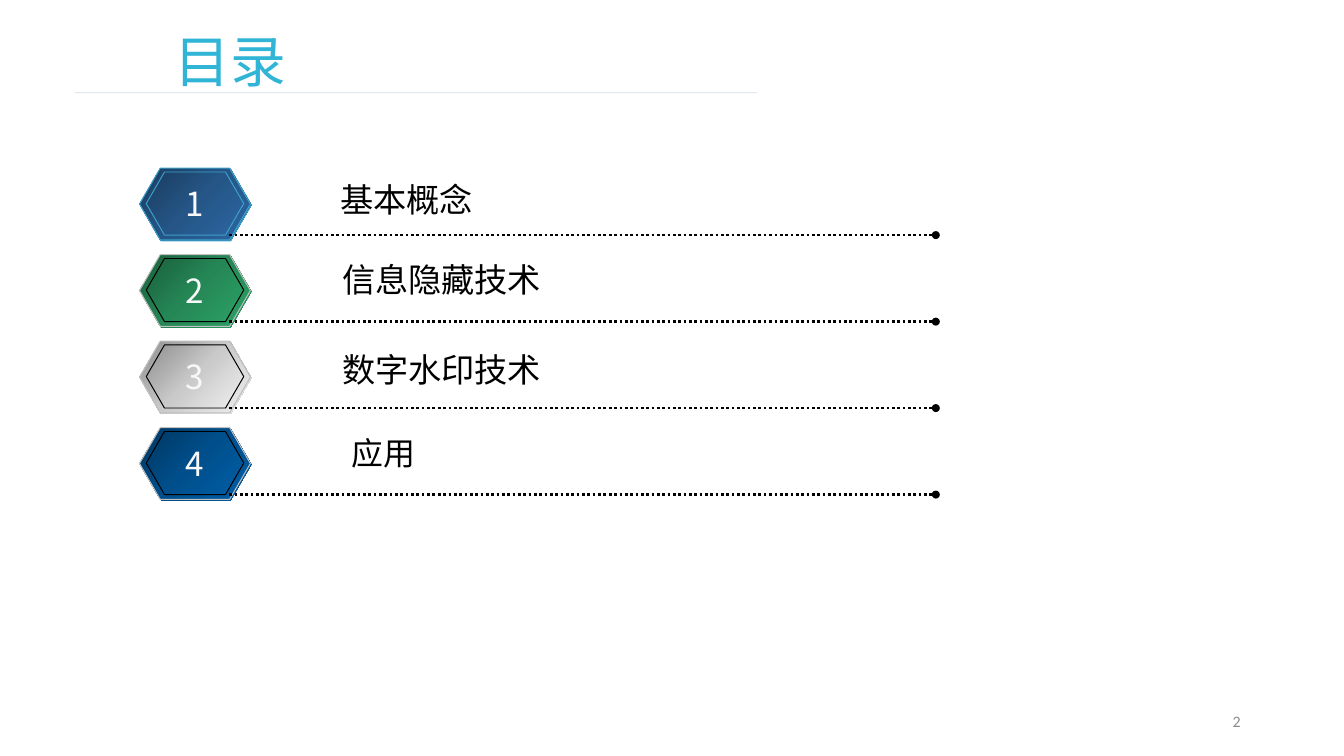
from copy import deepcopy

from lxml import etree
from pptx import Presentation
from pptx.dml.color import RGBColor
from pptx.enum.dml import MSO_LINE
from pptx.enum.shapes import MSO_CONNECTOR, MSO_SHAPE
from pptx.enum.text import MSO_ANCHOR, MSO_AUTO_SIZE, PP_ALIGN
from pptx.oxml.ns import qn
from pptx.util import Inches, Pt

HEXAGON = MSO_SHAPE.HEXAGON
STRAIGHT = MSO_CONNECTOR.STRAIGHT
DOTTED = MSO_LINE.ROUND_DOT
LEFT, CENTER, RIGHT = PP_ALIGN.LEFT, PP_ALIGN.CENTER, PP_ALIGN.RIGHT
TOP, MIDDLE = MSO_ANCHOR.TOP, MSO_ANCHOR.MIDDLE
GROW = MSO_AUTO_SIZE.SHAPE_TO_FIT_TEXT

CJK = "Noto Sans CJK SC"
ROW_TOP, ROW_PITCH = 1.77, 0.905

# Label, its left, top, width, height and size; gradient; back and inner outline
ROWS = [
    ("基本概念", (3.45, 1.83, 1.62, 0.53), 25,
     ("1A3C5F", "255687", "2B66A1"), ("3DA2CB", "3DA2CB", "3DA2CB")),
    ("信息隐藏技术", (3.47, 2.66, 2.32, 0.53), 25,
     ("1A5F3C", "258756", "2BA166"), (None, "C0C0C0", "000000")),
    ("数字水印技术", (3.47, 3.61, 2.32, 0.53), 25,
     ("8F8E8E", "CBCACA", "F1F0F0"), (None, "C0C0C0", "000000")),
    ("应用", (3.57, 4.49, 0.89, 0.51), 24,
     ("003862", "004F8C", "005EA6"), (None, "C0C0C0", "000000")),
]
# Left, offset from the row top, width, height: back, middle, inner
HEXAGONS = [(1.47, 0, 1.16, 0.75), (1.46, -0.01, 1.16, 0.75),
            (1.53, 0.03, 1.02, 0.66)]


def rgb(value):
    return RGBColor.from_string(value)


def add_text(slide, text, box, size, color, font=CJK, align=LEFT,
             anchor=TOP, wrap=False, grow=True):
    s = slide.shapes.add_textbox(*map(Inches, box))
    tf = s.text_frame
    tf.word_wrap = wrap
    tf.vertical_anchor = anchor
    if grow:
        tf.auto_size = GROW
    tf.margin_left = tf.margin_right = Inches(0.11)
    p = tf.paragraphs[0]
    p.alignment = align
    r = p.add_run()
    r.text = text
    r.font.name = font
    r.font.size = Pt(size)
    r.font.color.rgb = rgb(color)
    ea = etree.SubElement(r._r.rPr, qn("a:ea"))
    ea.set("typeface", font)


def add_rule(slide, x1, x2, y, color, width):
    s = slide.shapes.add_connector(STRAIGHT, Inches(x1), Inches(y),
                                   Inches(x2), Inches(y))
    s.line.color.rgb = rgb(color)
    s.line.width = Pt(width)
    etree.SubElement(s._element.spPr, qn("a:effectLst"))
    return s


def add_title_rule(slide):
    s = add_rule(slide, 0.78, 7.92, 0.97, "4A7EBB", 0.5)
    color = s._element.spPr.find(".//" + qn("a:srgbClr"))
    etree.SubElement(color, qn("a:alpha")).set("val", "25000")


def add_dotted_rule(slide, y):
    s = add_rule(slide, 2.4, 9.79, y, "000000", 2)
    s.line.dash_style = DOTTED
    etree.SubElement(s.line._ln, qn("a:tailEnd")).set("type", "oval")


def add_hexagon(group, box, gradient, outline):
    s = group.shapes.add_shape(HEXAGON, *map(Inches, box))
    s.shadow.inherit = False
    s.adjustments[0] = 0.289
    s.fill.gradient()
    s.fill.gradient_angle = 315
    # A third stop between the two default ones
    stops = s._element.spPr.find(".//" + qn("a:gsLst"))
    stops.insert(1, deepcopy(stops[0]))
    for stop, color, position in zip(s.fill.gradient_stops, gradient,
                                     (0, 0.5, 1)):
        stop.color.rgb = rgb(color)
        stop.position = position
    if outline:
        s.line.color.rgb = rgb(outline)
        s.line.width = Pt(0.75)
    else:
        s.line.fill.background()


def add_row(slide, index, label, label_box, size, gradient, outlines):
    y = ROW_TOP + index * ROW_PITCH
    group = slide.shapes.add_group_shape()
    for (left, offset, width, height), outline in zip(HEXAGONS, outlines):
        add_hexagon(group, (left, y + offset, width, height), gradient, outline)
    add_dotted_rule(slide, y + 0.69)
    add_text(slide, label, label_box, size, "000000")
    add_text(slide, str(index + 1), (1.83, y + 0.1, 0.42, 0.53), 25, "F8F8F8",
             align=CENTER)


def main():
    prs = Presentation()
    prs.slide_width, prs.slide_height = Inches(14.06), Inches(7.91)
    slide = prs.slides.add_slide(prs.slide_layouts[6])

    # Title
    add_text(slide, "目录", (1.72, 0.23, 8.96, 0.82), 42, "31B5D6", wrap=True)
    add_title_rule(slide)

    # Contents
    for index, row in enumerate(ROWS):
        add_row(slide, index, *row)

    # Page number
    add_text(slide, "2", (9.93, 7.33, 3.16, 0.42), 12, "8C8C8C", "Calibri",
             RIGHT, MIDDLE, wrap=True, grow=False)

    prs.save("out.pptx")


if __name__ == "__main__":
    main()
